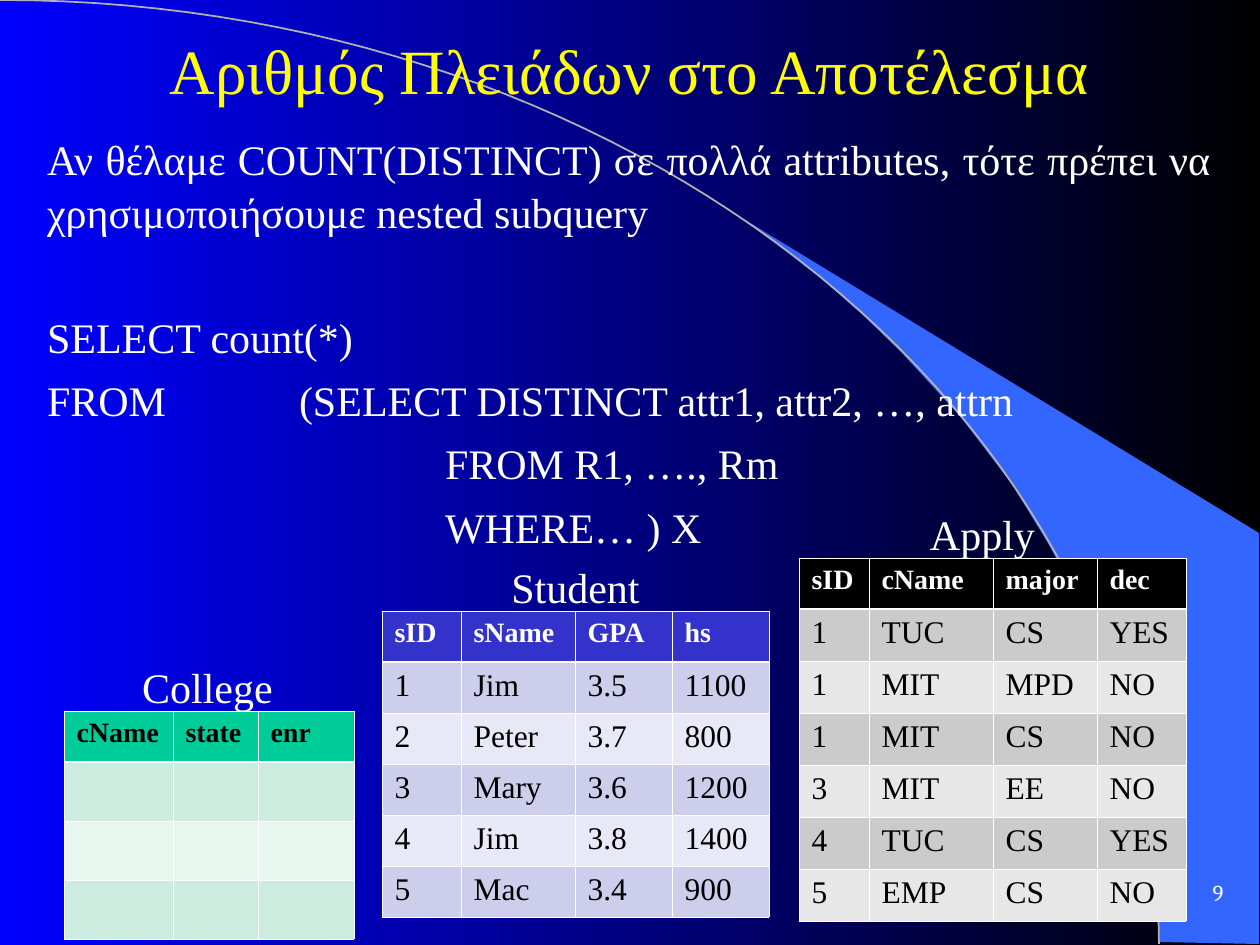
from lxml.etree import SubElement
from pptx import Presentation
from pptx.dml.color import RGBColor
from pptx.enum.text import MSO_ANCHOR, PP_ALIGN
from pptx.oxml.ns import qn
from pptx.util import Pt

UNIT = 914400 / 126
HUES = {
    "blue": "0000FF", "black": "000000", "white": "FFFFFF", "yellow": "FFFF00",
    "wedge": "3366FF", "arc": "B2B2B2",
    "green": "00CC99", "mint": "CBECDE", "pale": "E7F6EF",
    "grey": "CBCBCB", "light": "E7E7E7",
    "navy": "3333CC", "lilac": "CDCDEC", "mist": "E8E8F6",
}
WEDGE = [(1159, 942), (1259, 944), (1259, 533), (742, 218), (786, 251), (823, 280),
         (863, 315), (902, 353), (960, 416), (1012, 484), (1048, 543), (1081, 604),
         (1106, 665), (1125, 721), (1138, 767), (1150, 827), (1155, 877)]
QUERY = [("SELECT count(*)", 41, 0),
         ("FROM\t(SELECT DISTINCT attr1, attr2, …, attrn", 6, 0),
         ("FROM R1, …., Rm", 6, 398),
         ("WHERE… ) X", 6, 398)]
COLLEGE = [["cName", "state", "enr"]] + [[""] * 3] * 3
STUDENT = [["sID", "sName", "GPA", "hs"],
           ["1", "Jim", "3.5", "1100"],
           ["2", "Peter", "3.7", "800"],
           ["3", "Mary", "3.6", "1200"],
           ["4", "Jim", "3.8", "1400"],
           ["5", "Mac", "3.4", "900"]]
APPLY = [["sID", "cName", "major", "dec"],
         ["1", "TUC", "CS", "YES"],
         ["1", "MIT", "MPD", "NO"],
         ["1", "ΜΙΤ", "CS", "NO"],
         ["3", "MIT", "EE", "NO"],
         ["4", "TUC", "CS", "YES"],
         ["5", "EMP", "CS", "NO"]]


def px(n):
    """Turn pixels into EMU."""
    return round(n * UNIT)


def hue(name):
    """Look up a named colour."""
    return RGBColor.from_string(HUES[name])


def write(para, text, size=24, color="white", font="Times New Roman", bold=False,
          align=PP_ALIGN.LEFT, before=0, lead=None, indent=0, tab=None):
    """Put formatted text into a paragraph."""
    props = para._p.get_or_add_pPr()
    if indent:
        props.set("marL", str(px(indent)))
    if tab:
        stops = SubElement(props, qn("a:tabLst"))
        SubElement(stops, qn("a:tab"), pos=str(px(tab)), algn="l")
    para.alignment = align
    if before:
        para.space_before = Pt(before)
    if lead:
        para.line_spacing = lead
    para.font.size = Pt(size)
    if text:
        run = para.add_run()
        run.text = text
        face = run.font
        face.size, face.name, face.bold = Pt(size), font, bold
        face.color.rgb = hue(color)


def frame(slide, box, anchor=MSO_ANCHOR.TOP, wrap=True):
    """Add an empty text box and return its frame."""
    area = slide.shapes.add_textbox(*map(px, box)).text_frame
    area.word_wrap = wrap
    area.vertical_anchor = anchor
    return area


def outline(slide, points, close):
    """Add a freeform through points given in pixels."""
    spots = [(px(x), px(y)) for x, y in points]
    pen = slide.shapes.build_freeform(*spots[0], scale=1.0)
    pen.add_line_segments(spots[1:], close=close)
    shape = pen.convert_to_shape()
    shape.shadow.inherit = False
    return shape


def backdrop(slide, box):
    """Paint the gradient, the wedge and the arc."""
    left, top, wide, high = box
    fill = slide.background.fill
    fill.gradient()
    fill.gradient_angle = 0
    for stop, name in zip(fill.gradient_stops, ("blue", "black")):
        stop.color.rgb = hue(name)
    wedge = outline(slide, [(left + x, top + y) for x, y in WEDGE], True)
    wedge.fill.solid()
    wedge.fill.fore_color.rgb = hue("wedge")
    wedge.line.fill.background()
    across, down = wide - 101, high - 1
    steps = [n / 60 for n in range(61)]
    curve = [(left + 3 * t * (1 - t) ** 2 * 640 + (3 * t * t * (1 - t) + t ** 3) * across,
              top + 3 * t * t * (1 - t) * 422 + t ** 3 * down) for t in steps]
    arc = outline(slide, curve, False)
    arc.fill.background()
    arc.line.color.rgb = hue("arc")
    arc.line.width = Pt(1)


def heading(slide, box):
    """Write the title."""
    area = frame(slide, box, MSO_ANCHOR.MIDDLE)
    write(area.paragraphs[0], "Αριθμός Πλειάδων στο Αποτέλεσμα", size=36,
          color="yellow", align=PP_ALIGN.CENTER)


def body(slide, box):
    """Write the remark and the query below it."""
    area = frame(slide, box)
    area.margin_left = area.margin_right = px(12)
    write(area.paragraphs[0], "Αν θέλαμε COUNT(DISTINCT) σε πολλά attributes, τότε "
          "πρέπει να χρησιμοποιήσουμε nested subquery",
          align=PP_ALIGN.JUSTIFY, lead=1.05)
    for text, before, indent in QUERY:
        write(area.add_paragraph(), text, before=before, indent=indent, lead=1.05,
              tab=252 if "\t" in text else None)


def edge(cell, row):
    """Draw the white borders of a cell, thick under the header."""
    props = cell._tc.get_or_add_tcPr()
    for side in "LRTB":
        thick = (row, side) in ((0, "B"), (1, "T"))
        line = SubElement(props, qn(f"a:ln{side}"), w=str(Pt(1.5 if thick else 0.5)))
        paint = SubElement(line, qn("a:solidFill"))
        SubElement(paint, qn("a:srgbClr"), val=HUES["white"])


def grid(slide, box, name, shift, rows, cols, high, fills, ink="white"):
    """Place a captioned table whose top left corner is that of the box."""
    left, top = box
    label = frame(slide, (left + shift, top - 56, 189, 63))
    write(label.paragraphs[0], name, align=PP_ALIGN.CENTER)
    highs = [51] + [high] * (len(rows) - 1)
    size = map(px, (left, top, sum(cols), sum(highs)))
    table = slide.shapes.add_table(len(rows), len(cols), *size).table
    for col, wide in zip(table.columns, cols):
        col.width = px(wide)
    for r, texts in enumerate(rows):
        table.rows[r].height = px(highs[r])
        shade = fills[0] if r == 0 else fills[2 - r % 2]
        for c, text in enumerate(texts):
            cell = table.cell(r, c)
            edge(cell, r)
            cell.fill.solid()
            cell.fill.fore_color.rgb = hue(shade)
            write(cell.text_frame.paragraphs[0], text, size=18 if r else 16,
                  color="black" if r else ink, bold=r == 0)


def number(slide, box):
    """Write the page number."""
    area = frame(slide, box, MSO_ANCHOR.MIDDLE, False)
    write(area.paragraphs[0], "9", size=13, font="Cambria", align=PP_ALIGN.RIGHT)


def main():
    """Build the slide and save it."""
    deck = Presentation()
    deck.slide_width, deck.slide_height = px(1260), px(945)
    slide = deck.slides.add_slide(deck.slide_layouts[6])
    backdrop(slide, (0, 0, 1260, 945))
    number(slide, (1165, 861, 71, 63))
    heading(slide, (94, 6, 1071, 127))
    body(slide, (35, 125, 1188, 567))
    grid(slide, (64, 711), "College", 49, COLLEGE, (109, 85, 96), 59,
         ("green", "mint", "pale"), ink="black")
    grid(slide, (799, 558), "Apply", 89, APPLY, (70, 124, 104, 89), 52,
         ("black", "grey", "light"))
    grid(slide, (382, 611), "Student", 99, STUDENT, (79, 114, 97, 97), 51,
         ("navy", "lilac", "mist"))
    deck.save("out.pptx")


if __name__ == "__main__":
    main()
